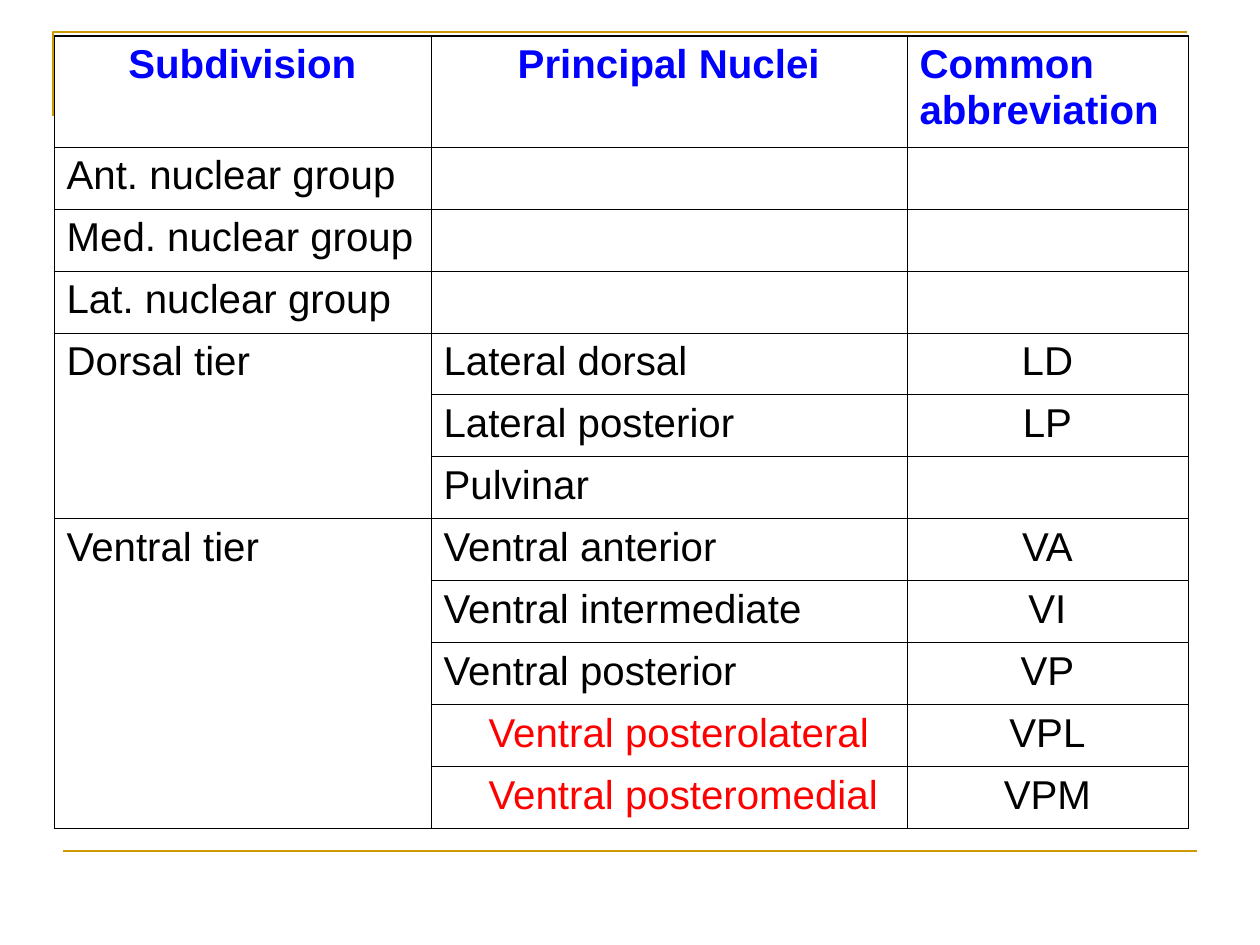
from lxml.etree import SubElement
from pptx import Presentation
from pptx.dml.color import RGBColor
from pptx.enum.shapes import MSO_CONNECTOR
from pptx.enum.text import PP_ALIGN
from pptx.oxml import parse_xml
from pptx.oxml.ns import nsdecls, qn
from pptx.util import Emu, Pt

GOLD = RGBColor(0xCC, 0x99, 0x00)
BLUE = RGBColor(0x00, 0x00, 0xFF)
RED = RGBColor(0xFF, 0x00, 0x00)
BLACK = RGBColor(0x00, 0x00, 0x00)
SCALE = 914400 / 126
THIN, THICK = Pt(0.45), Pt(0.96)


def px(num):
    return Emu(round(num * SCALE))


def edge(cell, side, width):
    """Draw one side (L, R, T or B) of a cell in solid black."""
    return parse_xml(
        f'<a:ln{side} {nsdecls("a")} w="{width}"><a:solidFill>'
        f'<a:srgbClr val="{BLACK}"/></a:solidFill></a:ln{side}>')


deck = Presentation()
deck.slide_width, deck.slide_height = px(1260), px(945)
slide = deck.slides.add_slide(deck.slide_layouts[6])
shapes = slide.shapes

# Gold frame lines
path = shapes.build_freeform(53, 116, scale=SCALE)
path.add_line_segments([(53, 32), (1187, 32)], close=False)
frame = path.convert_to_shape()
frame.shadow.inherit = False
frame.fill.background()
rule = shapes.add_connector(
    MSO_CONNECTOR.STRAIGHT, px(63), px(851), px(1197), px(851))
SubElement(rule._element.spPr, qn("a:effectLst"))
for item in (frame, rule):
    item.line.color.rgb = GOLD
    item.line.width = Pt(1.5)

# Table of thalamic nuclei
rows = [
    ("Subdivision", "Principal Nuclei", "Common abbreviation"),
    ("Ant. nuclear group", "", ""),
    ("Med. nuclear group", "", ""),
    ("Lat. nuclear group", "", ""),
    ("Dorsal tier", "Lateral dorsal", "LD"),
    ("", "Lateral posterior", "LP"),
    ("", "Pulvinar", ""),
    ("Ventral tier", "Ventral anterior", "VA"),
    ("", "Ventral intermediate", "VI"),
    ("", "Ventral posterior", "VP"),
    ("", "Ventral posterolateral", "VPL"),
    ("", "Ventral posteromedial", "VPM"),
]
subs = ("Ventral posterolateral", "Ventral posteromedial")
last = len(rows) - 1
table = shapes.add_table(
    len(rows), 3, px(54), px(36), px(1134), px(793)).table
table.first_row = table.horz_banding = False
for col, width in zip(table.columns, (377, 476, 281)):
    col.width = px(width)
for i, row in enumerate(table.rows):
    row.height = px(62 if i else 111)

for i, texts in enumerate(rows):
    for j, text in enumerate(texts):
        cell = table.cell(i, j)
        cell.fill.background()
        sides = {"L": THIN, "R": THIN, "T": THIN if i else THICK,
                 "B": THICK if i == last else THIN}
        props = cell._tc.get_or_add_tcPr()
        for k, (side, width) in enumerate(sides.items()):
            props.insert(k, edge(cell, side, width))
        if not text:
            continue
        para = cell.text_frame.paragraphs[0]
        mid = j < 2 if i == 0 else j == 2
        para.alignment = PP_ALIGN.CENTER if mid else PP_ALIGN.LEFT
        if text in subs:
            para._p.get_or_add_pPr().set("marL", str(px(45)))
        run = para.add_run()
        run.text = text
        look = {"name": "Arial", "size": Pt(23), "bold": i == 0}
        for key, value in look.items():
            setattr(run.font, key, value)
        run.font.color.rgb = (
            BLUE if i == 0 else RED if text in subs else BLACK)

for top, end in ((4, 6), (7, last)):
    table.cell(top, 0).merge(table.cell(end, 0))

deck.save("out.pptx")
